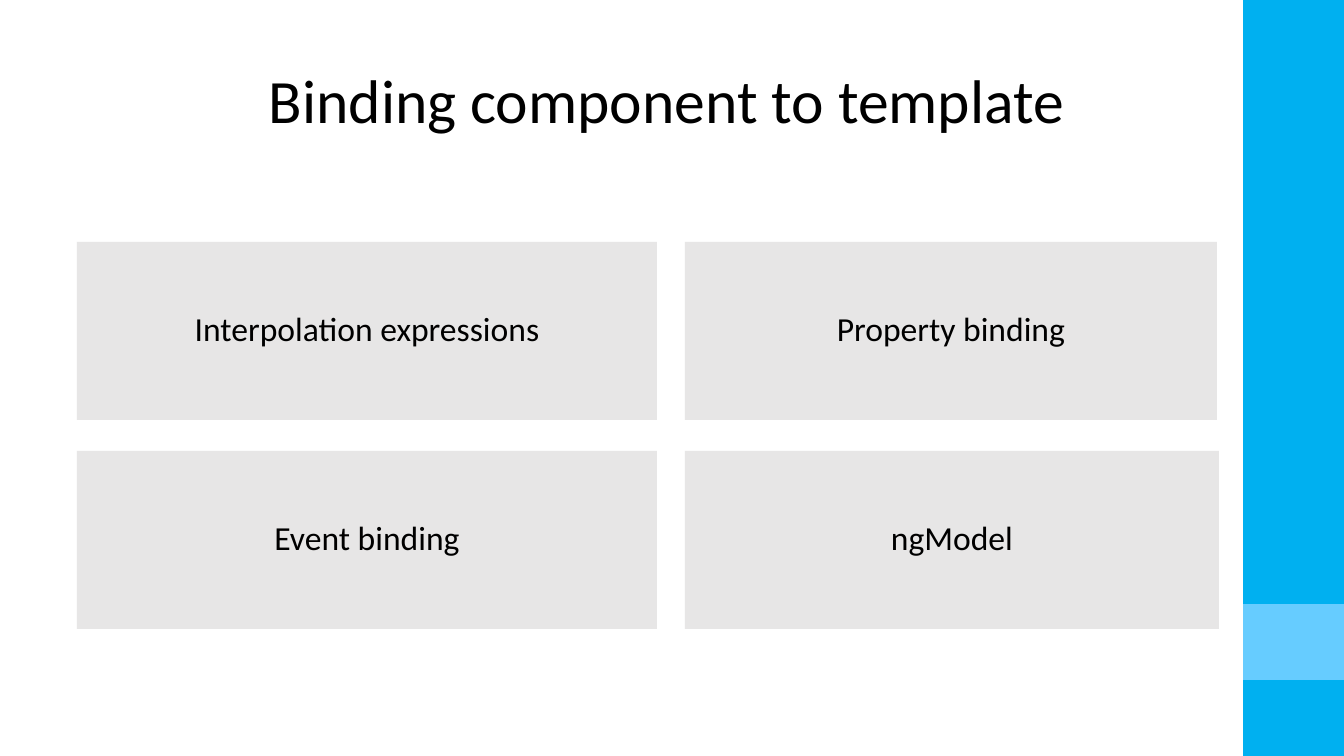
from dataclasses import dataclass

from pptx import Presentation
from pptx.dml.color import RGBColor
from pptx.enum.shapes import MSO_SHAPE
from pptx.enum.text import MSO_ANCHOR, PP_ALIGN
from pptx.util import Emu, Pt

RECTANGLE = MSO_SHAPE.RECTANGLE
TOP = MSO_ANCHOR.TOP
MIDDLE = MSO_ANCHOR.MIDDLE
CENTER = PP_ALIGN.CENTER

EMU_PER_PX = 914400 / 100.8
SLIDE_WIDTH, SLIDE_HEIGHT = 1344, 756


def px(length):
    return Emu(round(length * EMU_PER_PX))


@dataclass(frozen=True)
class Theme:
    font: str = "Calibri"
    text: str = "000000"
    card: str = "E7E6E6"
    band: str = "00B0F0"
    accent: str = "66CCFF"
    title_size: int = 44
    card_size: int = 24
    line_spacing: float = 0.9


class SlideBuilder:
    def __init__(self, slide, theme):
        self.slide = slide
        self.theme = theme

    def rectangle(self, left, top, width, height, color):
        shape = self.slide.shapes.add_shape(
            RECTANGLE, px(left), px(top), px(width), px(height))
        shape.shadow.inherit = False
        shape.fill.solid()
        shape.fill.fore_color.rgb = RGBColor.from_string(color)
        shape.line.fill.background()
        return shape

    def add_text(self, shape, text, size, anchor, insets):
        frame = shape.text_frame
        frame.word_wrap = True
        frame.vertical_anchor = anchor
        (frame.margin_left, frame.margin_top,
         frame.margin_right, frame.margin_bottom) = map(px, insets)
        paragraph = frame.paragraphs[0]
        paragraph.alignment = CENTER
        paragraph.line_spacing = self.theme.line_spacing
        run = paragraph.add_run()
        run.text = text
        run.font.name = self.theme.font
        run.font.size = Pt(size)
        run.font.color.rgb = RGBColor.from_string(self.theme.text)

    def card(self, left, top, width, height, text):
        shape = self.rectangle(left, top, width, height, self.theme.card)
        self.add_text(shape, text, self.theme.card_size, MIDDLE, (30, 30, 30, 30))

    def title(self, left, top, width, height, text):
        box = self.slide.shapes.add_textbox(
            px(left), px(top), px(width), px(height))
        self.add_text(box, text, self.theme.title_size, TOP, (0, 5, 10, 5))


def main():
    presentation = Presentation()
    presentation.slide_width = px(SLIDE_WIDTH)
    presentation.slide_height = px(SLIDE_HEIGHT)
    slide = presentation.slides.add_slide(presentation.slide_layouts[6])
    theme = Theme()
    builder = SlideBuilder(slide, theme)

    band_left = 1243
    band_width = SLIDE_WIDTH - band_left
    builder.rectangle(band_left, 0, band_width, SLIDE_HEIGHT, theme.band)
    builder.rectangle(band_left, 604, band_width, 76, theme.accent)

    builder.title(78, 65, 1188, 48, "Binding component to template")

    left_column, right_column = 77, 685
    card_height, row_gap = 178, 31
    left_width = 580
    rows = [
        ("Interpolation expressions", "Property binding", 532),
        ("Event binding", "ngModel", 534),
    ]
    for index, (left_text, right_text, right_width) in enumerate(rows):
        top = 242 + index * (card_height + row_gap)
        builder.card(left_column, top, left_width, card_height, left_text)
        builder.card(right_column, top, right_width, card_height, right_text)

    presentation.save("out.pptx")


if __name__ == "__main__":
    main()
